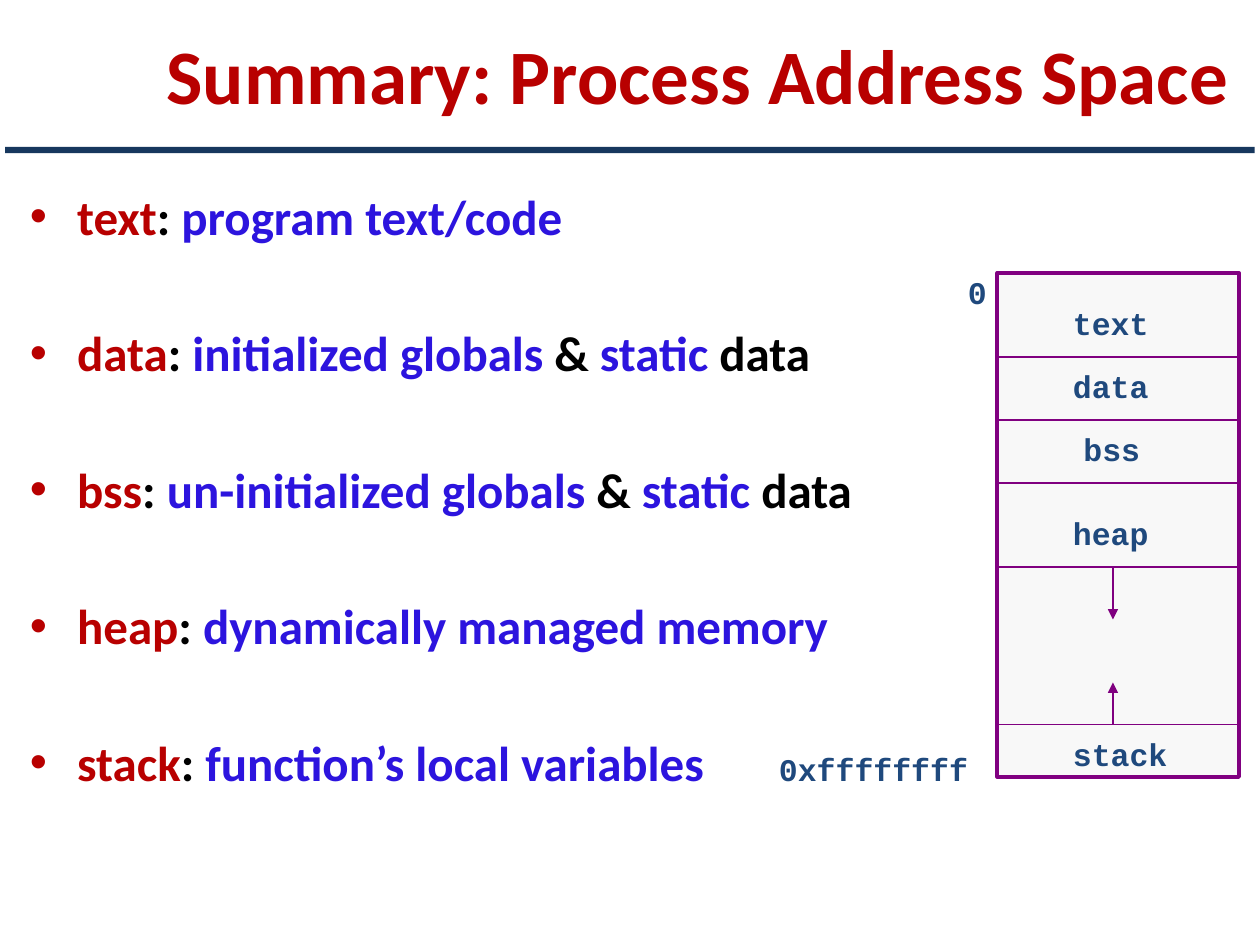
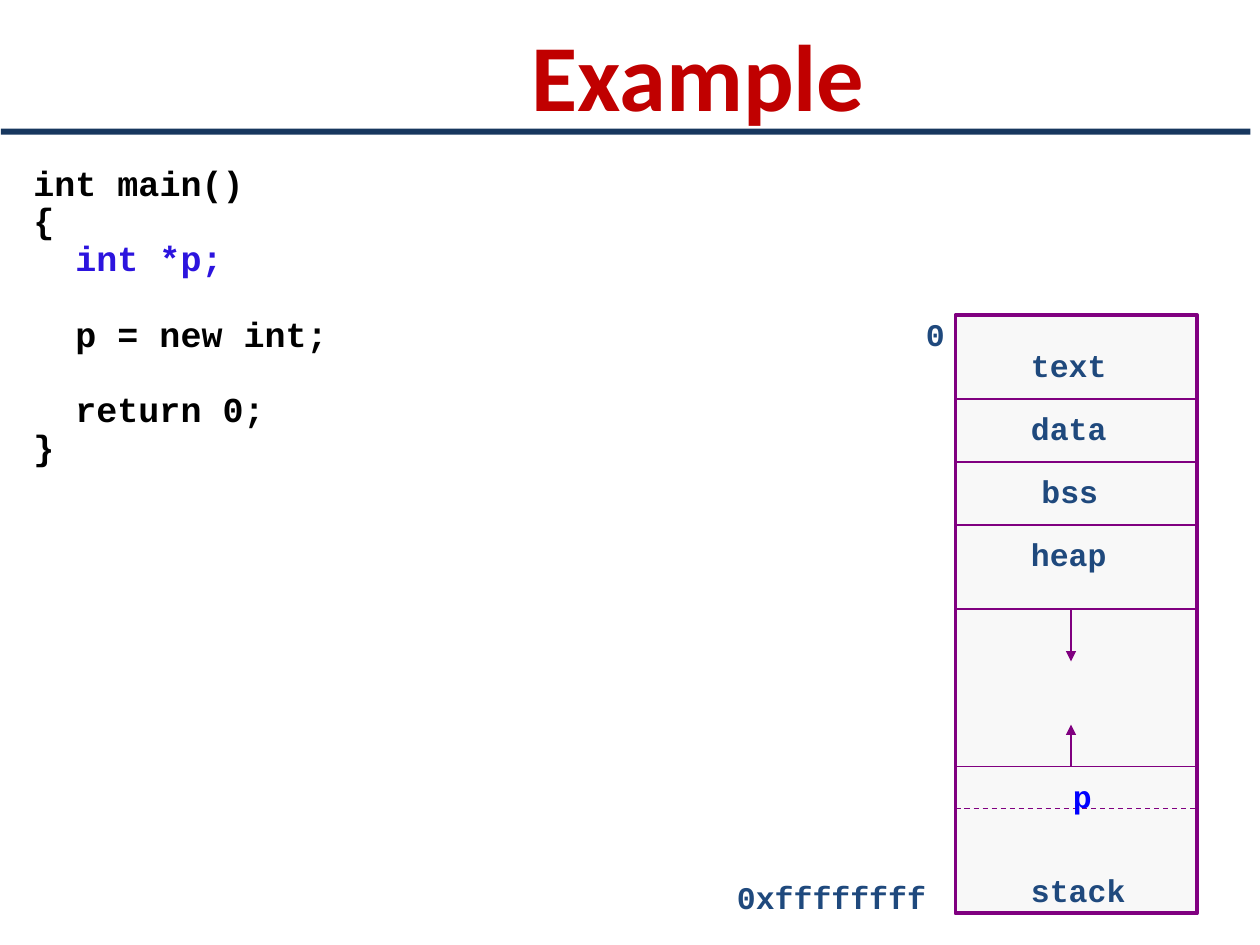
from lxml import etree
from pptx import Presentation
from pptx.dml.color import RGBColor
from pptx.enum.dml import MSO_LINE
from pptx.enum.shapes import MSO_CONNECTOR, MSO_SHAPE
from pptx.enum.text import MSO_ANCHOR, PP_ALIGN
from pptx.oxml.ns import qn
from pptx.util import Pt

RECT = MSO_SHAPE.RECTANGLE
STRAIGHT = MSO_CONNECTOR.STRAIGHT
DASH = MSO_LINE.DASH
TOP, MIDDLE, BOTTOM = MSO_ANCHOR.TOP, MSO_ANCHOR.MIDDLE, MSO_ANCHOR.BOTTOM
CENTER = PP_ALIGN.CENTER

rgb = RGBColor.from_string
RED, TITLE_RED, BLUE, BLACK = "B80000", "C00000", "2C14DE", "000000"
NAVY, LABEL, POINTER = "17375E", "1F497D", "0000FF"
PURPLE, PALE = "800080", "F8F8F8"
SANS, MONO = "Calibri", "Courier New"


def add_text(s, box, paragraphs, font, size, anchor=TOP, wrap=True):
    tf = s.shapes.add_textbox(*map(Pt, box)).text_frame
    tf.word_wrap = wrap
    tf.vertical_anchor = anchor
    for i, runs in enumerate(paragraphs):
        p = tf.paragraphs[0] if i == 0 else tf.add_paragraph()
        for text, color in runs:
            r = p.add_run()
            r.text = text
            r.font.name = font
            r.font.size = Pt(size)
            r.font.bold = True
            r.font.color.rgb = rgb(color)
    return tf


def add_line(s, x1, y1, x2, y2, arrow=False, dash=None):
    c = s.shapes.add_connector(STRAIGHT, Pt(x1), Pt(y1), Pt(x2), Pt(y2))
    c.line.color.rgb = rgb(PURPLE)
    c.line.width = Pt(0.75)
    if dash:
        c.line.dash_style = dash
    if arrow:
        ln = c.line._get_or_add_ln()
        etree.SubElement(ln, qn("a:tailEnd"), type="triangle")
    etree.SubElement(c._element.spPr, qn("a:effectLst"))


prs = Presentation()
prs.slide_width, prs.slide_height = Pt(720), Pt(540)

pages = [
    {"title": "Summary: Process Address Space", "size": 44, "color": RED,
     "band": (3, 84), "memory": (570, 156, 288), "heap": 132, "address": 267},
    {"title": "Example", "size": 54, "color": TITLE_RED,
     "band": (0.5, 73.5), "memory": (546, 180, 342), "heap": 120, "address": 316},
]
slides = []
for page in pages:
    s = prs.slides.add_slide(prs.slide_layouts[6])
    slides.append(s)
    tf = add_text(s, (78, 0, 642, 84), [[(page["title"], page["color"])]],
                  SANS, page["size"], MIDDLE)
    tf.paragraphs[0].alignment = CENTER

    left, top, height = page["memory"]
    band = (*page["band"], 714, 3.5)
    memory = (left, top, 138, height)
    for box, fill, line, width in [(band, NAVY, NAVY, 0), (memory, PALE, PURPLE, 2.25)]:
        sp = s.shapes.add_shape(RECT, *map(Pt, box))
        sp.shadow.inherit = False
        sp.fill.solid()
        sp.fill.fore_color.rgb = rgb(fill)
        if width:
            sp.line.color.rgb = rgb(line)
            sp.line.width = Pt(width)
        else:
            sp.line.fill.background()

    for y in (48, 84, 120, 168, 258):
        add_line(s, left, top + y, left + 138, top + y)
    for start, end in [(168, 198), (258, 234)]:
        add_line(s, left + 66, top + start, left + 66, top + end, arrow=True)

    labels = [("0", -24, -6, 30), ("text", 36, 12, 84), ("data", 36, 48, 84),
              ("bss", 42, 84, 60), ("heap", 36, page["heap"], 90),
              ("stack", 36, height - 30, 96), ("0xffffffff", -132, page["address"], 135)]
    for text, x, y, width in labels:
        add_text(s, (left + x, top + y, width, 31), [[(text, LABEL)]],
                 MONO, 18, BOTTOM, wrap=text != "0xffffffff")

summary, example = slides

segments = [
    [("text", RED), (": ", BLACK), ("program text/code", BLUE)],
    [("data", RED), (": ", BLACK), ("initialized globals", BLUE), (" & ", BLACK),
     ("static", BLUE), (" data", BLACK)],
    [("bss", RED), (": ", BLACK), ("un-initialized globals ", BLUE), ("& ", BLACK),
     ("static", BLUE), (" data", BLACK)],
    [("heap", RED), (": ", BLACK), ("dynamically managed memory", BLUE)],
    [("stack", RED), (": ", BLACK), ("function’s local variables", BLUE)],
]
tf = add_text(summary, (10, 103, 503, 393), segments, SANS, 28)
for i, p in enumerate(tf.paragraphs):
    p.space_before = Pt(44.4 if i else 0)
    pPr = p._p.get_or_add_pPr()
    pPr.set("marL", str(Pt(27)))
    pPr.set("indent", str(-Pt(27)))
    etree.SubElement(pPr, qn("a:buFont"), typeface="Arial")
    etree.SubElement(pPr, qn("a:buChar"), char="•")

code = [("int main()", BLACK, 0, 0), ("{", BLACK, 0, 0), ("int *p;", BLUE, 24, 0),
        ("p = new int;", BLACK, 24, 21.6), ("return 0;", BLACK, 24, 21.6),
        ("}", BLACK, 0, 0)]
tf = add_text(example, (12, 91, 708, 443), [[line[:2]] for line in code], MONO, 20)
for p, (text, color, indent, gap) in zip(tf.paragraphs, code):
    p.line_spacing = Pt(21.6)
    p.space_before = Pt(gap)
    p._p.get_or_add_pPr().set("marL", str(Pt(indent)))

left, top, height = pages[1]["memory"]
add_line(example, left, top + 282, left + 138, top + 282, dash=DASH)
add_text(example, (left + 60, top + 258, 60, 31), [[("p", POINTER)]], MONO, 18, BOTTOM)

prs.save("out.pptx")
